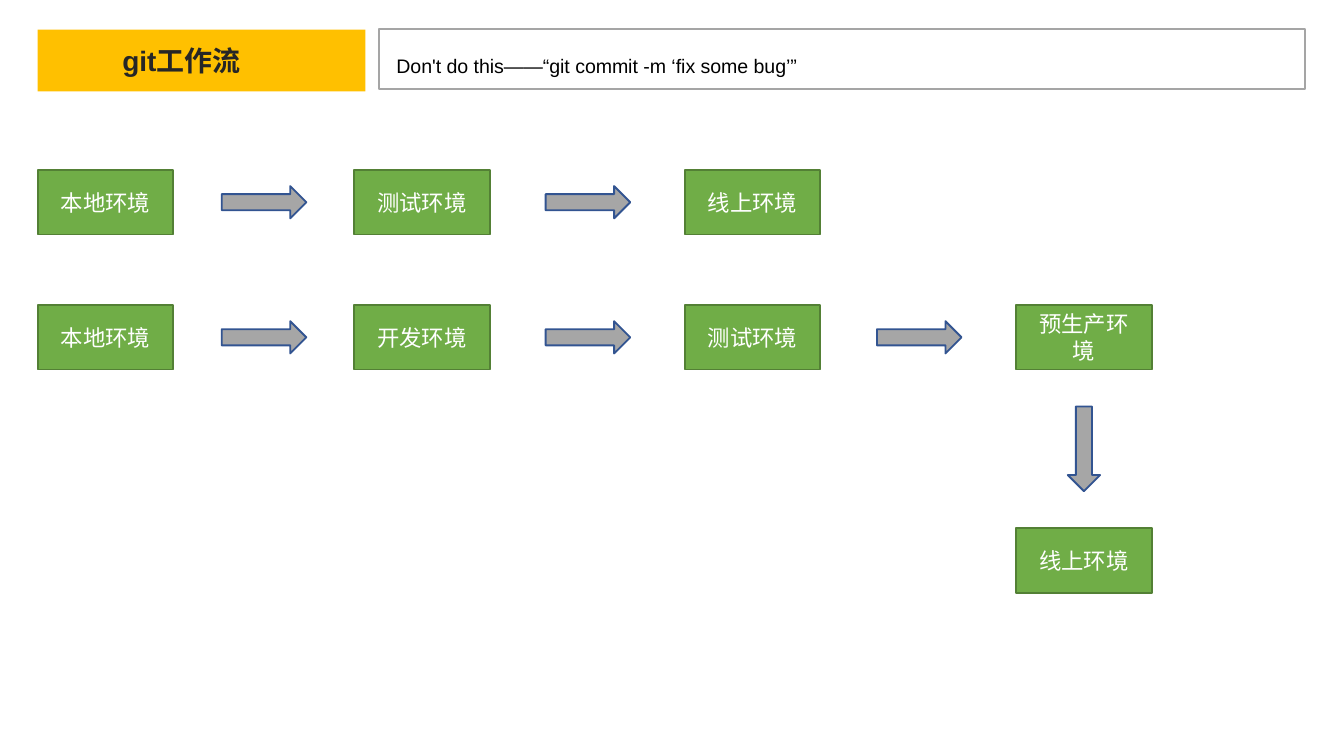
from typing import NamedTuple

from pptx import Presentation
from pptx import util as u
from pptx.dml.color import RGBColor
from pptx.enum import shapes, text

EMU_PER_PX = 4572  # 200 px to the inch
SLIDE_SIZE = (2000, 1125)
FONT = "Arial"
COLORS = {
    "band": "FFC000", "frame": "A5A5A5", "title": "262626", "note": "000000",
    "stage": "70AD47", "stage_line": "538035", "stage_text": "FFFFFF",
    "arrow": "A6A6A6", "arrow_line": "325491",
}


class Box(NamedTuple):
    left: int
    top: int
    width: int
    height: int


class Stage(NamedTuple):
    label: str
    column: int
    top: int


class Arrow(NamedTuple):
    left: int
    top: int
    rotation: int = 0


# Grid of the two workflows
COLUMNS = (56, 527, 1019, 1512)
ARROW_LEFTS = (330, 812, 1305)
STAGE_SIZE = (202, 96)
ARROW_SIZE = (126, 48)
ARROW_DROP = (STAGE_SIZE[1] - ARROW_SIZE[1]) // 2  # centres an arrow on its row
WORKFLOWS = {
    253: ("本地环境", "测试环境", "线上环境"),
    454: ("本地环境", "开发环境", "测试环境", "预生产环境"),
}
RELEASE = Stage("线上环境", 3, 786)
RELEASE_ARROW = Arrow(1550, 644, 90)


def px(length: int) -> u.Emu:
    return u.Emu(length * EMU_PER_PX)


def color(name: str) -> RGBColor:
    return RGBColor.from_string(COLORS[name])


def place(shape, box: Box) -> None:
    shape.left, shape.top, shape.width, shape.height = map(px, box)


def add_block(slide, kind, box: Box, fill: str = "", line: str = ""):
    shape = slide.shapes.add_shape(kind, *map(px, box))
    shape.shadow.inherit = False
    if fill:
        shape.fill.solid()
        shape.fill.fore_color.rgb = color(fill)
    else:
        shape.fill.background()
    if line:
        shape.line.color.rgb = color(line)
        shape.line.width = u.Pt(1)
    else:
        shape.line.fill.background()
    return shape


def write(shape, words: str, size: float, ink: str, align, bold: bool = False):
    frame = shape.text_frame
    frame.word_wrap = True
    frame.auto_size = text.MSO_AUTO_SIZE.NONE
    frame.vertical_anchor = text.MSO_ANCHOR.MIDDLE
    frame.text = words
    paragraph = frame.paragraphs[0]
    paragraph.alignment = align
    font = paragraph.font
    font.name, font.size, font.bold = FONT, u.Pt(size), bold
    font.color.rgb = color(ink)
    return paragraph


def set_narrow_margins(shape) -> None:
    frame = shape.text_frame
    frame.margin_left = frame.margin_right = px(14)
    frame.margin_top = frame.margin_bottom = px(8)


def add_header(slide) -> None:
    rectangle = shapes.MSO_SHAPE.RECTANGLE
    left = text.PP_ALIGN.LEFT
    band = add_block(slide, rectangle, Box(56, 44, 488, 92), fill="band")
    add_block(slide, rectangle, Box(564, 43, 1378, 90), line="frame")

    note = slide.shapes.add_textbox(*map(px, Box(576, 62, 1356, 62)))
    paragraph = write(note, "Don't do this——“git commit -m ‘fix some bug’”",
                      10.5, "note", left)
    paragraph.line_spacing = 1.3
    set_narrow_margins(note)

    title = slide.shapes.title
    place(title, Box(168, 44, 376, 92))
    write(title, "git工作流", 15, "title", left, bold=True)
    set_narrow_margins(title)
    title.element.addprevious(band.element)  # band goes behind the title


def add_stage(slide, stage: Stage) -> None:
    box = Box(COLUMNS[stage.column], stage.top, *STAGE_SIZE)
    shape = add_block(slide, shapes.MSO_SHAPE.RECTANGLE, box,
                      "stage", "stage_line")
    write(shape, stage.label, 12, "stage_text", text.PP_ALIGN.CENTER)


def add_arrow(slide, arrow: Arrow) -> None:
    box = Box(arrow.left, arrow.top, *ARROW_SIZE)
    shape = add_block(slide, shapes.MSO_SHAPE.RIGHT_ARROW, box,
                      "arrow", "arrow_line")
    shape.rotation = arrow.rotation


def main() -> None:
    presentation = Presentation()
    presentation.slide_width, presentation.slide_height = map(px, SLIDE_SIZE)
    slide = presentation.slides.add_slide(presentation.slide_layouts[5])
    add_header(slide)

    # Workflow rows, with an arrow between neighbouring stages
    for top, labels in WORKFLOWS.items():
        for column, label in enumerate(labels):
            add_stage(slide, Stage(label, column, top))
        for left in ARROW_LEFTS[:len(labels) - 1]:
            add_arrow(slide, Arrow(left, top + ARROW_DROP))

    # Final release below the second row
    add_stage(slide, RELEASE)
    add_arrow(slide, RELEASE_ARROW)
    presentation.save("out.pptx")


if __name__ == "__main__":
    main()
